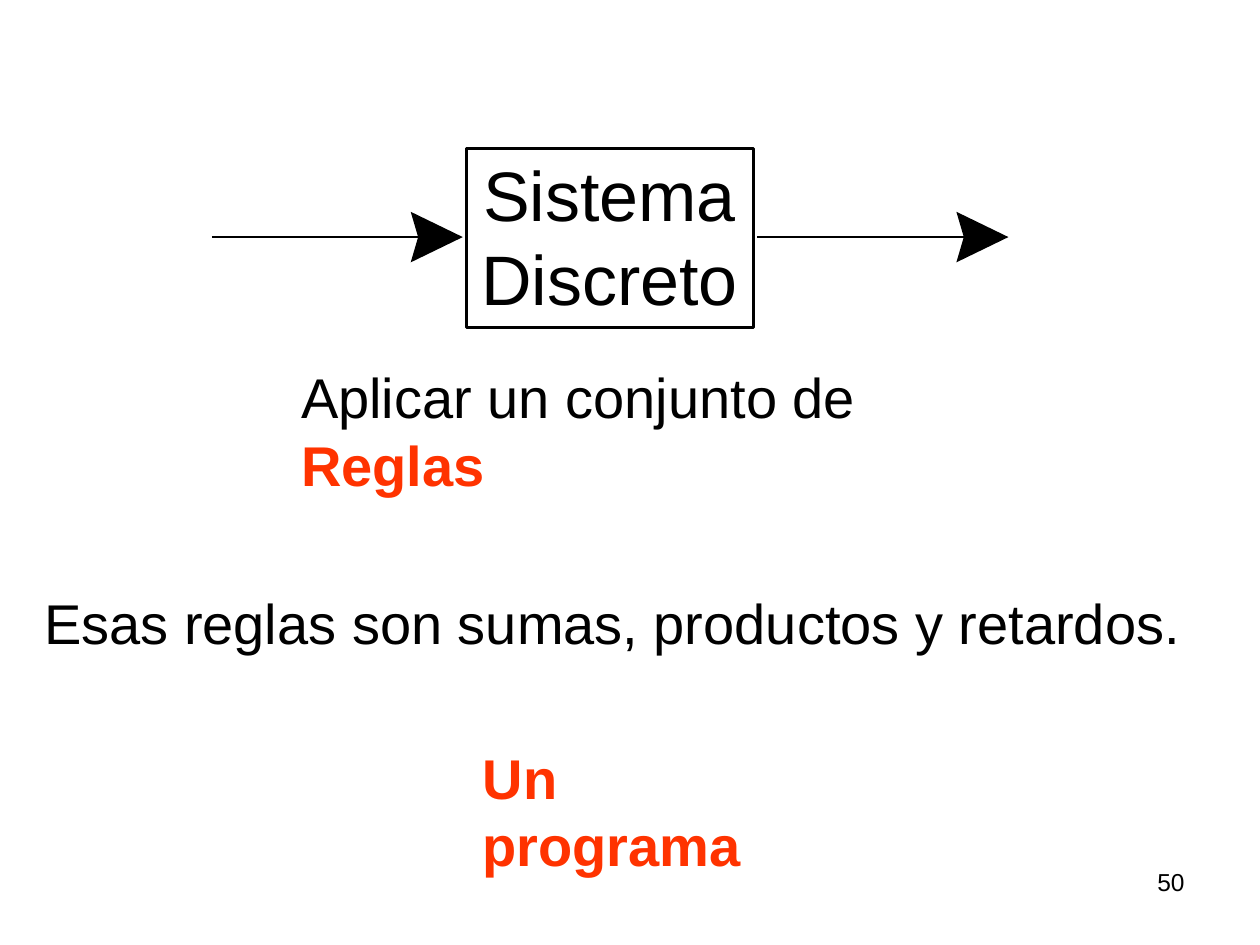
"""Build the slide on a discrete system as a set of rules."""
from dataclasses import dataclass

from lxml import etree
from pptx import Presentation
from pptx.dml.color import RGBColor
from pptx.enum.shapes import MSO_CONNECTOR, MSO_SHAPE
from pptx.enum.text import PP_ALIGN
from pptx.oxml.ns import qn
from pptx.util import Cm, Pt

STRAIGHT = MSO_CONNECTOR.STRAIGHT
RECTANGLE = MSO_SHAPE.RECTANGLE
LEFT, CENTER, RIGHT = PP_ALIGN.LEFT, PP_ALIGN.CENTER, PP_ALIGN.RIGHT
BLACK, ORANGE = "000000", "FF3300"
SIGNAL_Y = 4.78
HEAD_LENGTH, HEAD_HALF_HEIGHT, HEAD_NOTCH = 1.05, 0.51, 0.15


@dataclass
class Run:
    text: str
    color: str = BLACK
    bold: bool = False


@dataclass
class Label:
    left: float
    top: float
    width: float
    height: float
    paragraphs: list[list[Run]]
    size: int = 32
    align: PP_ALIGN = LEFT
    has_margins: bool = True


@dataclass
class Arrow:
    start: float
    head: float
    weight: float


LABELS = [
    Label(18.21, 17.35, 5.92, 1.32, [[Run("50")]], size=14, align=RIGHT),
    Label(5.82, 7.19, 14.38, 1.6,
          [[Run("Aplicar un conjunto de "), Run("Reglas", ORANGE, True)]]),
    Label(0.64, 11.73, 24.51, 1.63,
          [[Run("Esas reglas son sumas, productos y retardos.")]]),
    Label(9.67, 3.05, 5.23, 3.43, [[Run("Sistema")], [Run("Discreto")]],
          size=40, align=CENTER, has_margins=False),
    Label(9.73, 14.99, 6.55, 1.35, [[Run("Un programa", ORANGE, True)]],
          has_margins=False),
]
ARROWS = [Arrow(4.27, 8.28, 1.5), Arrow(15.27, 19.28, 1)]


def rgb(color: str) -> RGBColor:
    return RGBColor.from_string(color)


def draw_label(shapes, label: Label) -> None:
    box = shapes.add_textbox(Cm(label.left), Cm(label.top), Cm(label.width), Cm(label.height))
    frame = box.text_frame
    frame.word_wrap = True
    if not label.has_margins:
        frame.margin_left = frame.margin_right = 0
        frame.margin_top = frame.margin_bottom = 0
    for index, runs in enumerate(label.paragraphs):
        paragraph = frame.add_paragraph() if index else frame.paragraphs[0]
        paragraph.alignment = label.align
        paragraph.font.name = "Arial"
        paragraph.font.size = Pt(label.size)
        for item in runs:
            run = paragraph.add_run()
            run.text = item.text
            run.font.bold = item.bold
            run.font.color.rgb = rgb(item.color)


def draw_system_box(shapes) -> None:
    shape = shapes.add_shape(RECTANGLE, Cm(9.4), Cm(3), Cm(5.79), Cm(3.61))
    shape.shadow.inherit = False
    shape.fill.background()
    shape.line.color.rgb = rgb(BLACK)
    shape.line.width = Pt(1.5)


def draw_arrow(shapes, arrow: Arrow) -> None:
    shaft = shapes.add_connector(
        STRAIGHT, Cm(arrow.start), Cm(SIGNAL_Y), Cm(arrow.head + 0.3), Cm(SIGNAL_Y))
    shaft.line.color.rgb = rgb(BLACK)
    shaft.line.width = Pt(arrow.weight)
    etree.SubElement(shaft.element.spPr, qn("a:effectLst"))

    bottom = Cm(SIGNAL_Y + HEAD_HALF_HEIGHT)
    top = Cm(SIGNAL_Y - HEAD_HALF_HEIGHT)
    builder = shapes.build_freeform(Cm(arrow.head), bottom)
    builder.add_line_segments([
        (Cm(arrow.head + HEAD_NOTCH), Cm(SIGNAL_Y)),
        (Cm(arrow.head), top),
        (Cm(arrow.head + HEAD_LENGTH), Cm(SIGNAL_Y)),
    ], close=True)
    head = builder.convert_to_shape()
    head.shadow.inherit = False
    head.fill.solid()
    head.fill.fore_color.rgb = rgb(BLACK)
    head.line.fill.background()


def main() -> None:
    presentation = Presentation()
    presentation.slide_width, presentation.slide_height = Cm(25.4), Cm(19.05)
    slide = presentation.slides.add_slide(presentation.slide_layouts[6])
    draw_system_box(slide.shapes)
    for label in LABELS:
        draw_label(slide.shapes, label)
    for arrow in ARROWS:
        draw_arrow(slide.shapes, arrow)
    presentation.save("out.pptx")


if __name__ == "__main__":
    main()
